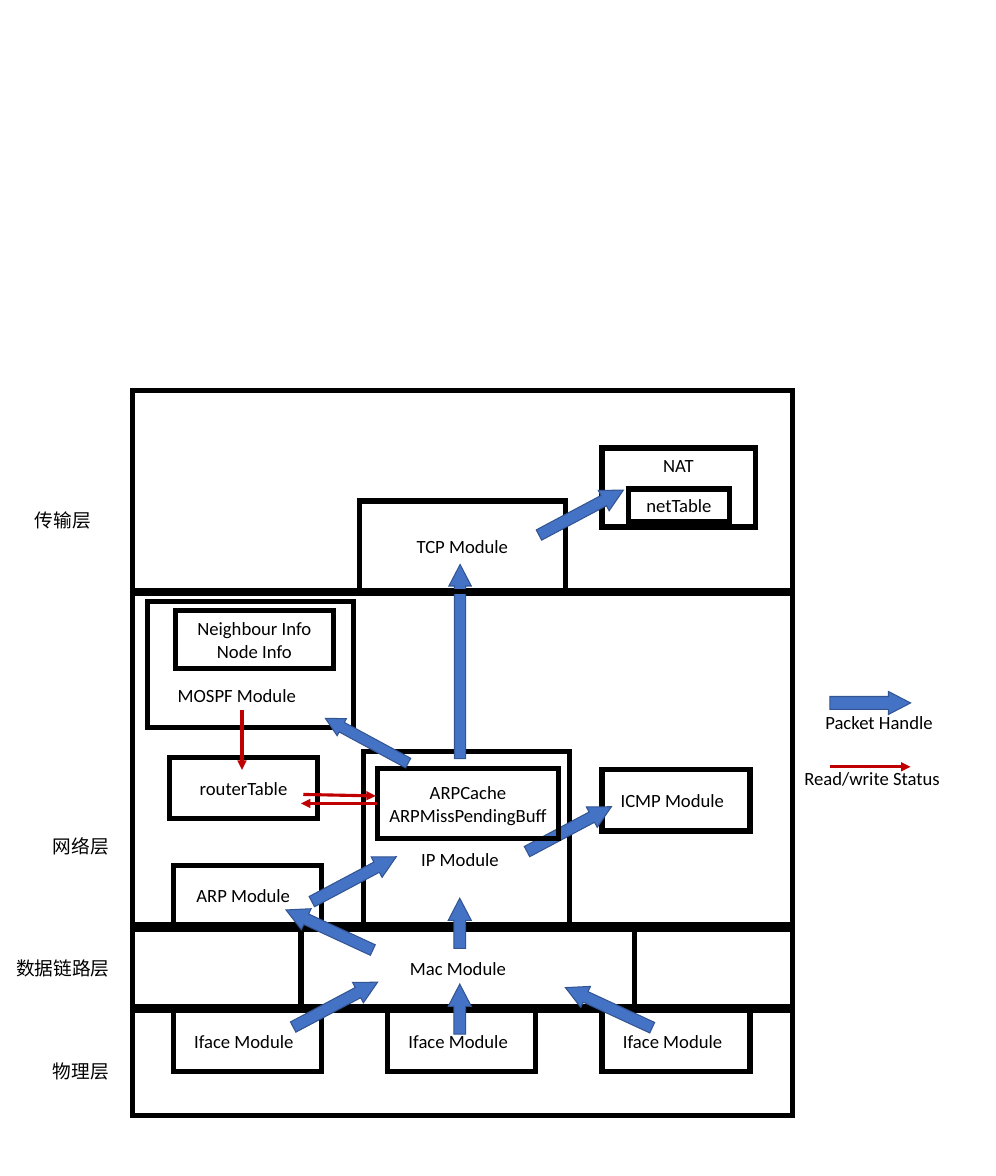
from dataclasses import dataclass
from pptx import Presentation
from pptx.dml.color import RGBColor
from pptx.enum.shapes import MSO_CONNECTOR, MSO_SHAPE
from pptx.enum.text import MSO_ANCHOR, MSO_AUTO_SIZE, PP_ALIGN
from pptx.oxml.ns import qn
from pptx.util import Inches, Pt
from lxml import etree

RECT, ARROW = MSO_SHAPE.RECTANGLE, MSO_SHAPE.RIGHT_ARROW
STRAIGHT = MSO_CONNECTOR.STRAIGHT
MIDDLE, GROW = MSO_ANCHOR.MIDDLE, MSO_AUTO_SIZE.SHAPE_TO_FIT_TEXT
LEFT, CENTER = PP_ALIGN.LEFT, PP_ALIGN.CENTER


@dataclass(frozen=True)
class Theme:
    ink: RGBColor = RGBColor(0x00, 0x00, 0x00)
    packet: RGBColor = RGBColor(0x44, 0x72, 0xC4)
    packet_edge: RGBColor = RGBColor(0x32, 0x54, 0x91)
    status: RGBColor = RGBColor(0xC0, 0x00, 0x00)
    font: str = "Calibri"
    text_size: Pt = Pt(18)
    box_line: Pt = Pt(5)
    packet_line: Pt = Pt(1)
    status_line: Pt = Pt(3)


THEME = Theme()

prs = Presentation()
prs.slide_width, prs.slide_height = Inches(40 / 3), Inches(15.75)
slide = prs.slides.add_slide(prs.slide_layouts[6])


def add_outline(preset, bounds, color, width):
    shape = slide.shapes.add_shape(preset, *map(Inches, bounds))
    shape.shadow.inherit = False
    shape.fill.background()
    shape.line.color.rgb = color
    shape.line.width = width
    corner = etree.SubElement(shape.line._get_or_add_ln(), qn("a:miter"))
    corner.set("lim", "800000")
    return shape


def write_lines(frame, lines, align):
    for i, line in enumerate(lines):
        paragraph = frame.paragraphs[0] if i == 0 else frame.add_paragraph()
        paragraph.alignment = align
        run = paragraph.add_run()
        run.text = line
        run.font.name = THEME.font
        run.font.size = THEME.text_size
        run.font.color.rgb = THEME.ink


# Network layers: top, height, name, name left, name top
STACK_LEFT, STACK_WIDTH = 1.77, 8.84
layers = [
    (5.23, 2.72, "传输层", 0.37, 6.76),
    (7.91, 4.48, "网络层", 0.61, 11.13),
    (12.45, 1.03, "数据链路层", 0.12, 12.77),
    (13.53, 1.41, "物理层", 0.61, 14.15),
]
labels = []
for top, height, name, name_left, name_top in layers:
    add_outline(RECT, (STACK_LEFT, top, STACK_WIDTH, height), THEME.ink, THEME.box_line)
    labels.append((name, name_left, name_top, 1.46 if len(name) > 3 else 0.96))

# Three interfaces at an equal pitch
IFACE_LEFT, IFACE_PITCH = 2.32, 2.87
MODULE_WIDTH, MODULE_HEIGHT = 1.98, 0.82
module_boxes = []
for i in range(3):
    left = IFACE_LEFT + i * IFACE_PITCH
    module_boxes.append((left, 13.53, MODULE_WIDTH, MODULE_HEIGHT))
    labels.append(("Iface Module", left + 0.18, 13.74, 1.61))

# Modules whose names stand free of the box
module_boxes += [
    (4.87, 10.06, 2.76, 2.38),  # IP
    (8.06, 10.31, MODULE_WIDTH, MODULE_HEIGHT),  # ICMP
    (4.03, 12.39, 4.46, 1.11),  # Mac
    (2.32, 11.59, MODULE_WIDTH, MODULE_HEIGHT),  # ARP
    (1.97, 8.06, 2.76, 1.68),  # MOSPF
    (8.06, 6.0, 2.05, 1.06),  # NAT
]
for bounds in module_boxes:
    add_outline(RECT, bounds, THEME.ink, THEME.box_line)

labels += [
    ("IP Module", 5.54, 11.3, 1.31),
    ("ICMP Module", 8.21, 10.52, 1.68),
    ("Mac Module", 5.39, 12.77, 1.56),
    ("ARP Module", 2.53, 11.79, 1.55),
    ("MOSPF Module", 2.28, 9.11, 1.9),
    ("NAT", 8.78, 6.03, 0.61),
    ("Packet Handle", 10.95, 9.47, 1.75),
    ("Read/write Status", 10.67, 10.22, 2.1),
]
for name, left, top, width in labels:
    label = slide.shapes.add_textbox(*map(Inches, (left, top, width, 0.4)))
    label.text_frame.word_wrap = False
    label.text_frame.auto_size = GROW
    write_lines(label.text_frame, [name], LEFT)

# Packet flow below the tables, then the tables, then the flow above them
RISING, FALLING_BACK, UP = 332, 204.8, 270
LONG, SHORT, THICK = 1.28, 0.67, 0.31
lower_flow = [
    (3.85, 13.3, LONG, THICK, RISING, 0.5),
    (7.51, 13.34, LONG, THICK, FALLING_BACK, 0.5),
    (5.82, 13.36, SHORT, THICK, UP, 0.5),
    (5.82, 12.21, SHORT, THICK, UP, 0.5),
    (3.77, 12.3, LONG, THICK, FALLING_BACK, 0.5),
    (6.98, 10.95, LONG, THICK, RISING, 0.5),
    (4.1, 11.62, LONG, THICK, RISING, 0.5),
    (4.86, 8.71, 2.6, 0.3, UP, 0.5),
]
tables = [
    (5.05, 10.29, 2.43, 0.94, ["ARPCache", "ARPMissPendingBuff"]),
    (2.27, 10.14, MODULE_WIDTH, MODULE_HEIGHT, ["routerTable"]),
    (2.35, 8.18, 2.11, 0.77, ["Neighbour Info", "Node Info"]),
    (4.81, 6.71, 2.76, 1.21, ["TCP Module"]),
    (8.41, 6.55, 1.36, 0.43, ["netTable"]),
]
upper_flow = [
    (4.28, 9.79, 1.26, 0.26, 208.4, 0.56),
    (7.14, 6.71, LONG, THICK, RISING, 0.5),
    (11.11, 9.26, 1.08, THICK, 0, 0.56),  # legend
]
for flow, boxes in ((lower_flow, tables), (upper_flow, [])):
    for *bounds, angle, shaft in flow:
        packet = add_outline(ARROW, bounds, THEME.packet_edge, THEME.packet_line)
        packet.fill.solid()
        packet.fill.fore_color.rgb = THEME.packet
        packet.adjustments[0] = shaft
        packet.adjustments[1] = 0.96
        packet.rotation = angle
    for *bounds, lines in boxes:
        table_box = add_outline(RECT, bounds, THEME.ink, THEME.box_line)
        table_box.text_frame.word_wrap = True
        table_box.text_frame.vertical_anchor = MIDDLE
        write_lines(table_box.text_frame, lines, CENTER)

# Status reads and writes, with the legend line second
status_links = [
    (3.24, 9.51, 3.24, 10.31),
    (11.11, 10.27, 12.19, 10.27),
    (5.05, 10.76, 4.03, 10.76),
    (4.06, 10.64, 5.03, 10.66),
]
for ends in status_links:
    link = slide.shapes.add_connector(STRAIGHT, *map(Inches, ends))
    link.line.color.rgb = THEME.status
    link.line.width = THEME.status_line
    head = etree.SubElement(link.line._get_or_add_ln(), qn("a:tailEnd"))
    head.set("type", "triangle")
    etree.SubElement(link._element.spPr, qn("a:effectLst"))

prs.save("out.pptx")
